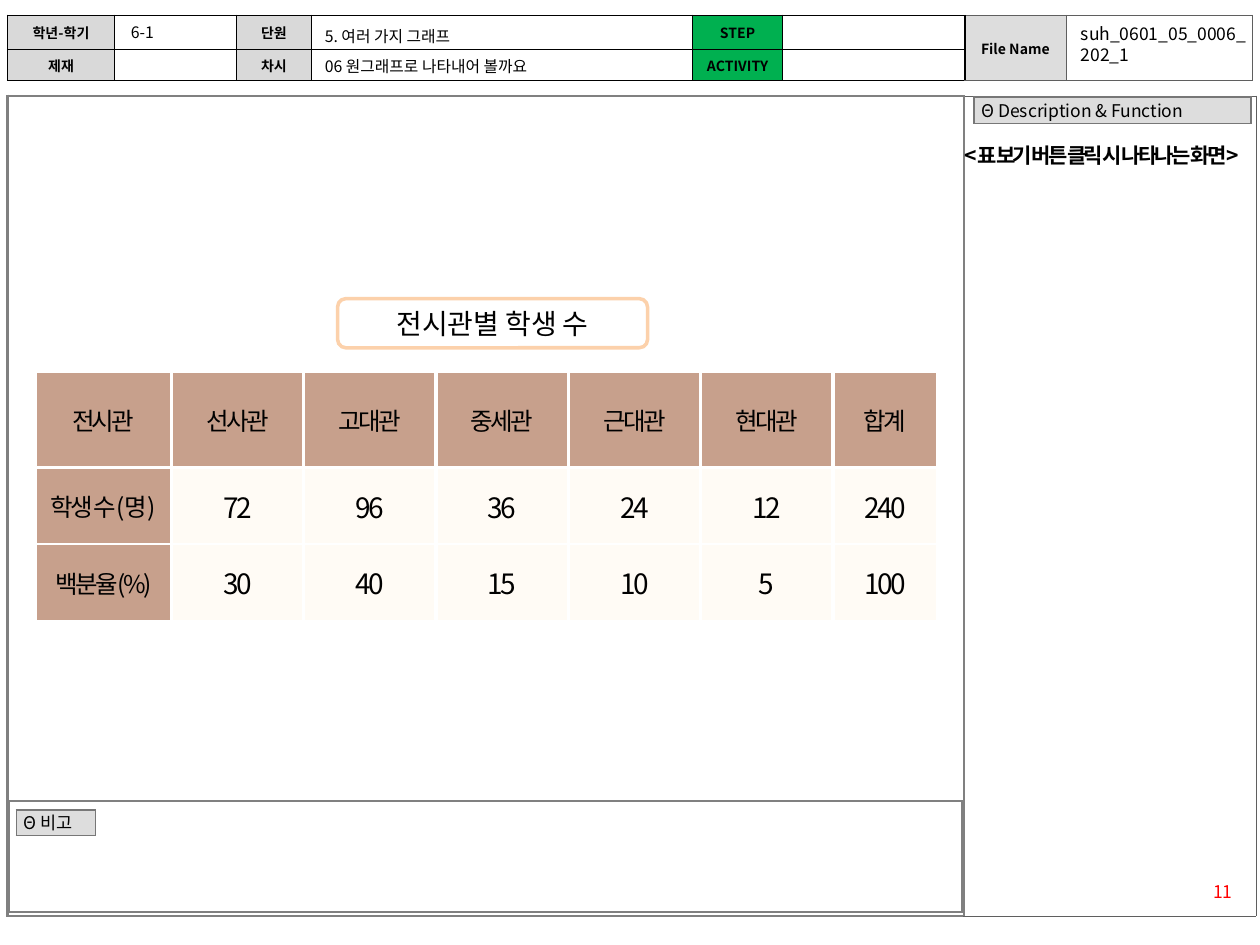
"""Build the storyboard slide with the pie-chart lesson's data table."""
from dataclasses import dataclass, replace

import pptx
import pptx.dml.color
import pptx.enum.shapes
import pptx.enum.text
import pptx.util
from lxml import etree
from pptx.util import Inches

FONT = "Noto Sans CJK KR"
ALIGN = pptx.enum.text.PP_ALIGN
ANCHOR = pptx.enum.text.MSO_ANCHOR
BROWN, CREAM, GREY, GREEN = "C7A08C", "FFFBF5", "D9D9D9", "00B050"


@dataclass(frozen=True)
class Border:
    color: str
    side: float
    flat: float


@dataclass(frozen=True)
class Cell:
    border: Border
    text: str = ""
    fill: str = ""
    size: float = 8
    bold: bool = False
    spacing: float = 0
    align: ALIGN = ALIGN.CENTER
    line_spacing: float = 1.0
    inset: float = 0.1


@dataclass(frozen=True)
class Box:
    text: str
    left: float
    top: float
    width: float
    height: float
    size: float
    color: str = "000000"
    bold: bool = False
    spacing: float = 0
    align: ALIGN = ALIGN.LEFT


def rgb(value: str) -> pptx.dml.color.RGBColor:
    return pptx.dml.color.RGBColor.from_string(value)


def write(tf, text: str, *, size: float, color: str = "000000", bold: bool = False,
          spacing: float = 0, align: ALIGN = ALIGN.LEFT, line_spacing: float = 1.0) -> None:
    p = tf.paragraphs[0]
    p.alignment = align
    p.line_spacing = line_spacing
    if not text:
        end = etree.SubElement(p._p, pptx.oxml.ns.qn("a:endParaRPr"))
        end.set("sz", str(int(size * 100)))
        return
    r = p.add_run()
    r.text = text
    r.font.size = pptx.util.Pt(size)
    r.font.bold = bold
    r.font.color.rgb = rgb(color)
    r.font.name = FONT
    props = r._r.get_or_add_rPr()
    etree.SubElement(props, pptx.oxml.ns.qn("a:ea")).set("typeface", FONT)
    if spacing:
        props.set("spc", str(int(spacing * 100)))


def draw_border(cell, border: Border) -> None:
    props = cell._tc.get_or_add_tcPr()
    for edge in "LRTB":
        width = border.side if edge in "LR" else border.flat
        ln = etree.SubElement(props, pptx.oxml.ns.qn(f"a:ln{edge}"))
        ln.set("w", str(pptx.util.Pt(width)))
        fill = etree.SubElement(ln, pptx.oxml.ns.qn("a:solidFill"))
        etree.SubElement(fill, pptx.oxml.ns.qn("a:srgbClr")).set("val", border.color)


def fill_cell(cell, style: Cell) -> None:
    draw_border(cell, style.border)
    if style.fill:
        cell.fill.solid()
        cell.fill.fore_color.rgb = rgb(style.fill)
    else:
        cell.fill.background()
    cell.vertical_anchor = ANCHOR.MIDDLE
    cell.margin_left = cell.margin_right = Inches(style.inset)
    cell.margin_top = cell.margin_bottom = Inches(0.01)
    write(cell.text_frame, style.text, size=style.size, bold=style.bold, spacing=style.spacing,
          align=style.align, line_spacing=style.line_spacing)


def add_grid(s, left: float, top: float, cols: list[float], rows: list[float],
             cells: list[list[Cell]], tall_cols: tuple[int, ...] = ()) -> None:
    table = s.shapes.add_table(len(rows), len(cols), Inches(left), Inches(top),
                               Inches(sum(cols)), Inches(sum(rows))).table
    table.first_row = table.horz_banding = False
    for column, width in zip(table.columns, cols):
        column.width = Inches(width)
    for row, height in zip(table.rows, rows):
        row.height = Inches(height)
    for i, line in enumerate(cells):
        for j, style in enumerate(line):
            fill_cell(table.cell(i, j), style)
    for j in tall_cols:
        table.cell(0, j).merge(table.cell(len(rows) - 1, j))


def add_text(s, box: Box) -> None:
    sp = s.shapes.add_textbox(Inches(box.left), Inches(box.top),
                              Inches(box.width), Inches(box.height))
    tf = sp.text_frame
    tf.word_wrap = True
    write(tf, box.text, size=box.size, color=box.color, bold=box.bold,
          spacing=box.spacing, align=box.align)


def add_title(s, text: str) -> None:
    sp = s.shapes.add_shape(pptx.enum.shapes.MSO_SHAPE.ROUNDED_RECTANGLE,
                            Inches(2.68), Inches(2.37), Inches(2.46), Inches(0.39))
    sp.shadow.inherit = False
    sp.fill.solid()
    sp.fill.fore_color.rgb = rgb("FFFFFF")
    sp.line.color.rgb = rgb("FCD1AB")
    sp.line.width = pptx.util.Pt(2)
    sp.text_frame.vertical_anchor = ANCHOR.MIDDLE
    write(sp.text_frame, text, size=16, align=ALIGN.CENTER)


def add_frame(s) -> None:
    frame = Cell(Border("808080", 1.5, 1.5))
    side = Cell(Border("5F5F5F", 0.25, 0.25))
    add_grid(s, 0.06, 0.76, [7.59, 2.32], [6.51], [[frame, side]])
    add_grid(s, 0.07, 6.36, [7.57], [0.88], [[frame]])
    label = Cell(Border("777777", 1, 1), fill="DDDDDD", size=10, align=ALIGN.LEFT,
                 line_spacing=0.9, inset=0.06)
    add_grid(s, 0.13, 6.43, [0.63], [0.2], [[replace(label, text="Θ 비고")]])
    add_grid(s, 7.73, 0.77, [2.2], [0.21], [[replace(label, text="Θ Description & Function")]])


def add_header(s) -> None:
    dark, light = Border("000000", 0.75, 0.75), Border("5F5F5F", 0.25, 0.25)
    fills = [GREY, "", GREY, "", GREEN, "", "DDDDDD", ""]
    lines = [["학년-학기", "", "단원", "", "STEP", "", "File Name", ""],
             ["제재", "", "차시", "", "ACTIVITY", "", "", ""]]
    cells = [[Cell(light if j > 5 else dark, text, fills[j], bold=True, inset=0.05)
              for j, text in enumerate(line)] for line in lines]
    add_grid(s, 0.06, 0.12, [0.85, 0.97, 0.59, 3.03, 0.71, 1.45, 0.8, 1.48],
             [0.27, 0.25], cells, tall_cols=(6, 7))


def add_data(s) -> None:
    white = Border("FFFFFF", 2.25, 1.5)
    lines = [["전시관", "선사관", "고대관", "중세관", "근대관", "현대관", "합계"],
             ["학생 수(명)", "72", "96", "36", "24", "12", "240"],
             ["백분율(%)", "30", "40", "15", "10", "5", "100"]]
    heading = Cell(white, fill=BROWN, size=14, spacing=-1.5, inset=0.11)
    value = replace(heading, fill=CREAM, size=16)
    cells = [[replace(value if i and j else heading, text=text) for j, text in enumerate(line)]
             for i, line in enumerate(lines)]
    add_grid(s, 0.28, 2.95, [1.08] + [1.05] * 5 + [0.83], [0.76, 0.61, 0.61], cells)


def main() -> None:
    prs = pptx.Presentation()
    prs.slide_width, prs.slide_height = Inches(10), Inches(7.5)
    s = prs.slides.add_slide(prs.slide_layouts[6])
    add_frame(s)
    add_header(s)
    add_data(s)
    add_title(s, "전시관별 학생 수")
    for box in (
        Box("11", 9.21, 6.94, 0.67, 0.27, 10, color="FF0000", align=ALIGN.RIGHT),
        Box("<표 보기 버튼 클릭 시 나타나는 화면>", 7.56, 1.08, 2.69, 0.3, 12,
            bold=True, spacing=-1.5, align=ALIGN.JUSTIFY),
        Box("6-1", 0.94, 0.13, 0.94, 0.24, 9),
        Box("5. 여러 가지 그래프", 2.48, 0.16, 3.03, 0.16, 9),
        Box("suh_0601_05_0006_202_1", 8.48, 0.13, 1.52, 0.44, 10),
        Box("06 원그래프로 나타내어 볼까요", 2.48, 0.4, 2.99, 0.24, 9),
    ):
        add_text(s, box)
    prs.save("out.pptx")


if __name__ == "__main__":
    main()
